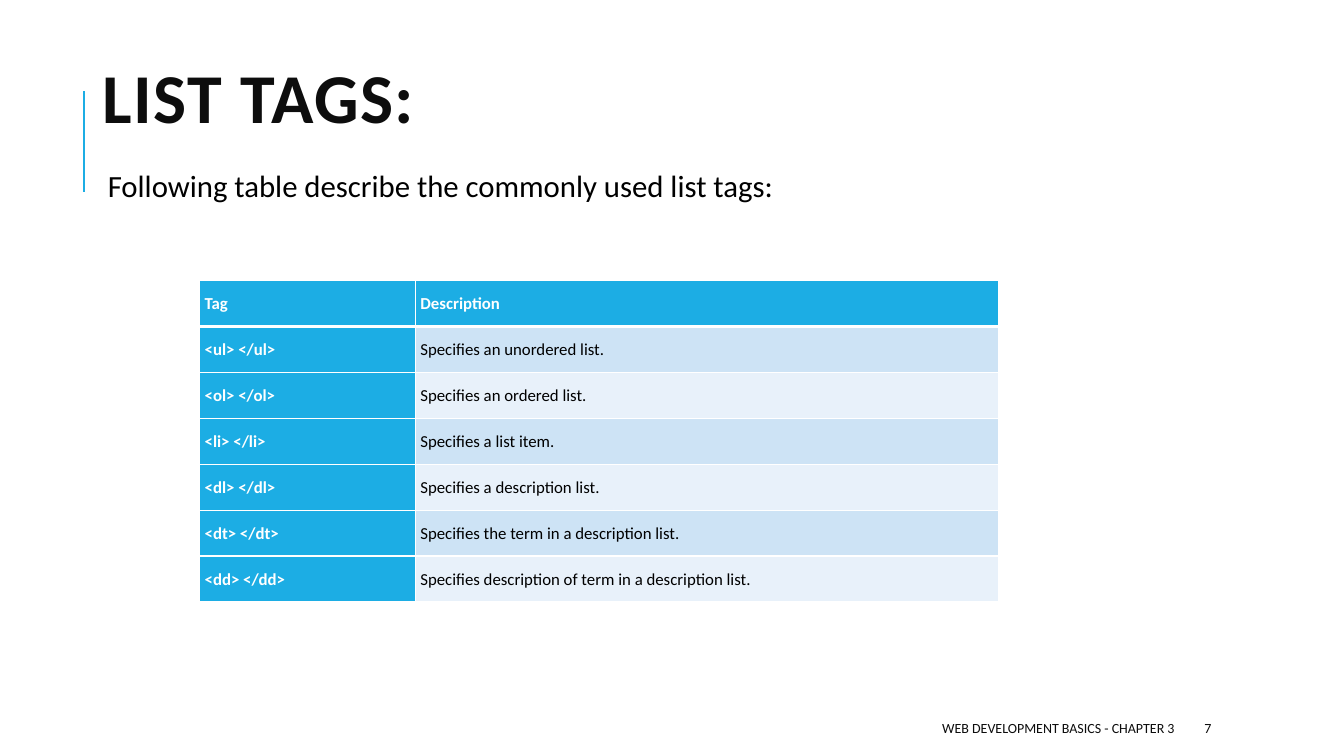
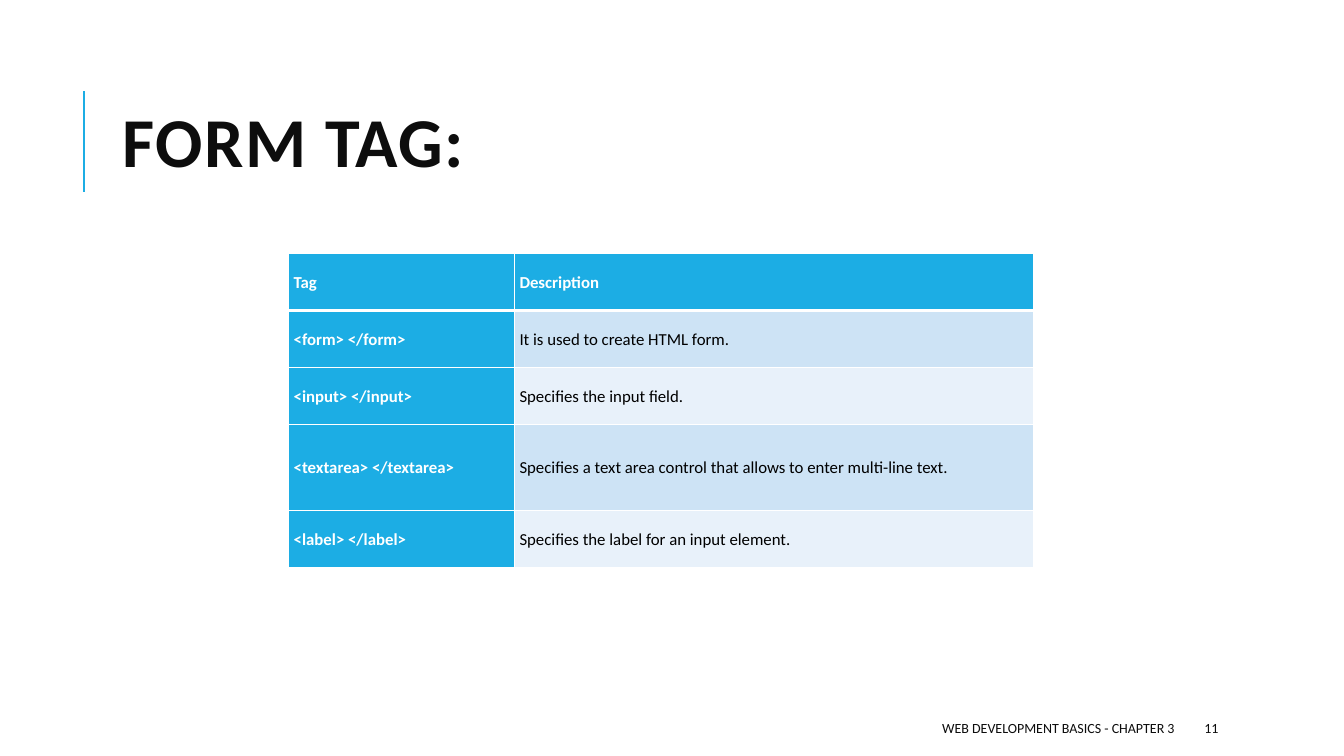
from pptx import Presentation
from pptx.dml.color import RGBColor
from pptx.enum.shapes import MSO_CONNECTOR as Conn
from pptx.enum.text import MSO_ANCHOR as Anchor, MSO_AUTO_SIZE as Fit, PP_ALIGN as Align
from pptx.oxml.ns import qn
from pptx.util import Pt
from lxml.etree import SubElement

# Content and places: boxes are left, top, width, height in points
SLIDES = [
    {
        "title": "LIST TAGS:",
        "title_box": (66.2, 28.8, 828, 90),
        "body": "Following table describe the commonly used list tags:",
        "body_box": (66.2, 118.8, 828, 368),
        "page": "7",
        "origin": (142.6, 200.4),
        "cols": (154.1, 416.4),
        "heights": [32.8] * 7,
        "rows": [
            ("Tag", "Description"),
            ("<ul> </ul>", "Specifies an unordered list."),
            ("<ol> </ol>", "Specifies an ordered list."),
            ("<li> </li>", "Specifies a list item."),
            ("<dl> </dl>", "Specifies a description list."),
            ("<dt> </dt>", "Specifies the term in a description list."),
            ("<dd> </dd>", "Specifies description of term in a description list."),
        ],
    },
    {
        "title": "FORM TAG:",
        "title_box": (80.6, 46.1, 765.4, 118.1),
        "page": "11",
        "origin": (206.2, 181),
        "cols": (161.3, 370.6),
        "heights": [40.8, 40.8, 40.8, 61.2, 40.8],
        "rows": [
            ("Tag", "Description"),
            ("<form> </form>", "It is used to create HTML form."),
            ("<input> </input>", "Specifies the input field."),
            ("<textarea> </textarea>",
             "Specifies a text area control that allows to enter multi-line text."),
            ("<label> </label>", "Specifies the label for an input element."),
        ],
    },
]
FOOTER = "WEB DEVELOPMENT BASICS - CHAPTER 3"
FOOT_BOX = (381.6, 509.4, 464.4, 21.6)
PAGE_BOX = (853.2, 509.4, 76.3, 21.6)

# Shared style
FONT = "Calibri"
BLUE = RGBColor(0x1C, 0xAD, 0xE4)
INK = RGBColor(0x0D, 0x0D, 0x0D)
BLACK = RGBColor(0, 0, 0)
WHITE = RGBColor(255, 255, 255)
BANDS = (RGBColor(0xCD, 0xE3, 0xF5), RGBColor(0xE8, 0xF1, 0xFA))
INSET = Pt(3.6)


def write(frame, text, size, color, bold=False, align=Align.LEFT, lines=1.0):
    frame.text = text
    par = frame.paragraphs[0]
    par.alignment, par.line_spacing = align, lines
    par.space_before = Pt(0)
    font = par.runs[0].font
    font.name, font.size, font.bold = FONT, Pt(size), bold
    font.color.rgb = color
    return par


def inset(item):
    item.margin_left = item.margin_right = INSET
    item.margin_top = item.margin_bottom = INSET


def place(shape, box):
    shape.left, shape.top, shape.width, shape.height = map(Pt, box)


def add_title(slide, text, box):
    title = slide.shapes.title
    place(title, box)
    frame = title.text_frame
    frame.auto_size, frame.vertical_anchor = Fit.NONE, Anchor.MIDDLE
    par = write(frame, text, 50, INK, bold=True, lines=0.8)
    par.runs[0].font._element.set("spc", "100")


def add_body(slide, text, box):
    body = slide.placeholders[1]
    place(body, box)
    frame = body.text_frame
    frame.auto_size, frame.vertical_anchor = Fit.NONE, Anchor.TOP
    inset(frame)
    par = write(frame, text, 22, BLACK, lines=0.9)
    # Plain paragraph: small indent, no bullet
    props = par._p.get_or_add_pPr()
    props.set("marL", str(Pt(7.2)))
    props.set("indent", "0")
    SubElement(props, qn("a:buNone"))


def add_rule(slide):
    x = Pt(60)
    rule = slide.shapes.add_connector(Conn.STRAIGHT, x, Pt(136.8), x, Pt(64.8))
    rule.line.color.rgb, rule.line.width = BLUE, Pt(1.5)
    SubElement(rule._element.spPr, qn("a:effectLst"))


def add_foot(slide, text, box, align):
    frame = slide.shapes.add_textbox(*map(Pt, box)).text_frame
    frame.word_wrap, frame.vertical_anchor = True, Anchor.MIDDLE
    write(frame, text, 10, INK, align=align)


def set_edges(cell, row):
    props = cell._tc.get_or_add_tcPr()
    heavy = {0: "lnB", 1: "lnT"}.get(row)
    for side in ("lnL", "lnR", "lnT", "lnB"):
        width = Pt(3 if side == heavy else 1)
        edge = SubElement(props, qn("a:" + side), w=str(width))
        fill = SubElement(edge, qn("a:solidFill"))
        SubElement(fill, qn("a:srgbClr"), val=str(WHITE))


def add_tags(slide, data):
    rows, cols, heights = data["rows"], data["cols"], data["heights"]
    box = (*data["origin"], sum(cols), sum(heights))
    table = slide.shapes.add_table(len(rows), len(cols), *map(Pt, box)).table
    table.first_col = True
    for c, width in enumerate(cols):
        table.columns[c].width = Pt(width)
    for r, texts in enumerate(rows):
        table.rows[r].height = Pt(heights[r])
        for c, text in enumerate(texts):
            cell = table.cell(r, c)
            head = r == 0 or c == 0
            inset(cell)
            cell.vertical_anchor = Anchor.MIDDLE
            set_edges(cell, r)
            cell.fill.solid()
            cell.fill.fore_color.rgb = BLUE if head else BANDS[(r - 1) % 2]
            write(cell.text_frame, text, 12, WHITE if head else BLACK,
                  bold=head, lines=1.07)


def main():
    deck = Presentation()
    deck.slide_width, deck.slide_height = Pt(960), Pt(540)
    for data in SLIDES:
        # Layout 1 has a title and body, layout 5 only a title
        layout = deck.slide_layouts[1 if "body" in data else 5]
        slide = deck.slides.add_slide(layout)
        add_rule(slide)
        add_title(slide, data["title"], data["title_box"])
        if "body" in data:
            add_body(slide, data["body"], data["body_box"])
        add_tags(slide, data)
        add_foot(slide, FOOTER, FOOT_BOX, Align.RIGHT)
        add_foot(slide, data["page"], PAGE_BOX, Align.LEFT)
    deck.save("out.pptx")


if __name__ == "__main__":
    main()
